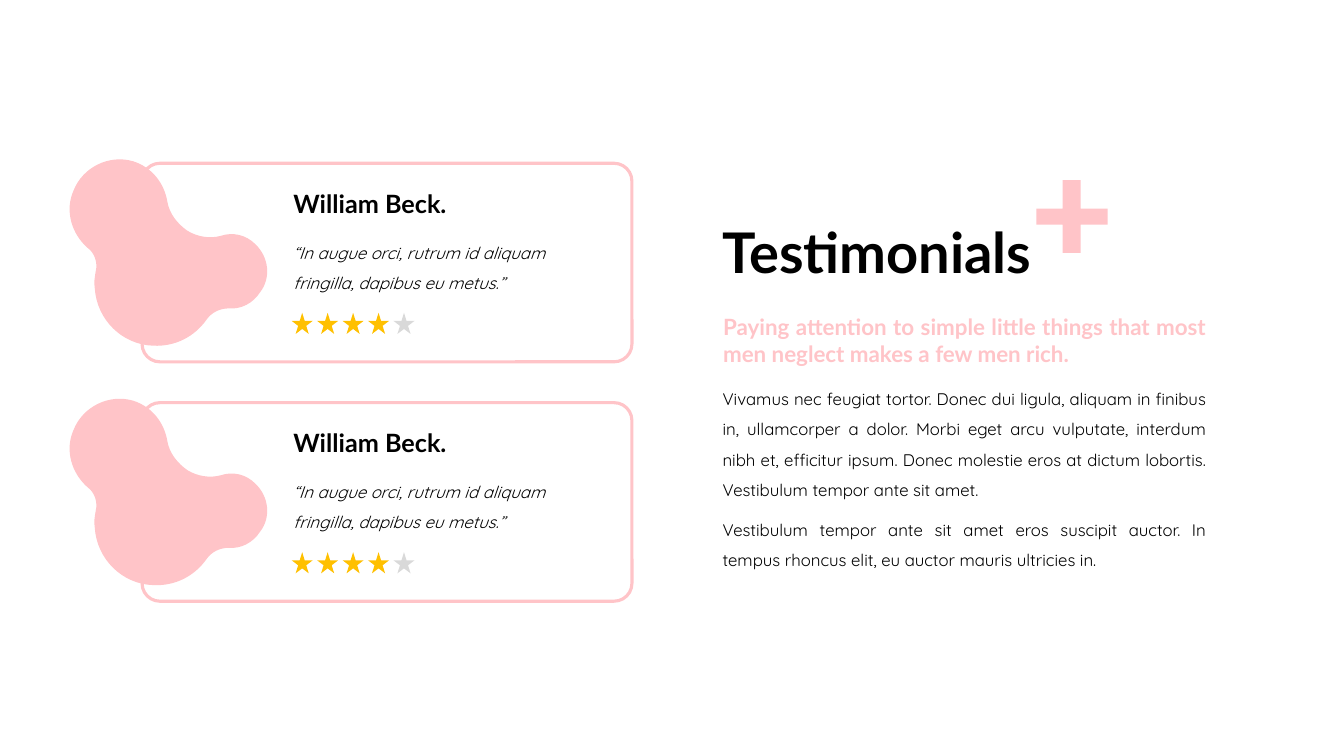
from pptx import Presentation
from pptx.dml.color import RGBColor
from pptx.enum.shapes import MSO_SHAPE
from pptx.enum.text import MSO_ANCHOR, MSO_AUTO_SIZE, PP_ALIGN
from pptx.oxml.ns import qn
from pptx.oxml.xmlchemy import OxmlElement
from pptx.util import Inches, Pt

COLUMNS, ROWS = 160, 90
PINK, GOLD, GREY, BLACK, WHITE = "FFC4C8", "FFC000", "D9D9D9", "000000", "FFFFFF"

CARD_LEFT, CARD_TOP, CARD_PITCH = 16.92, 19.44, 28.5
STAR_LEFT, STAR_TOP, STAR_PITCH, STAR_SIZE = 34.72, 17.8, 3.03, 2.52
REVIEWS = [("William Beck.",
            "“In augue orci, rutrum id aliquam fringilla, dapibus eu metus.”", 4)] * 2
PARAGRAPHS = [
    (44.5, 15.72,
     "Vivamus nec feugiat tortor. Donec dui ligula, aliquam in finibus in, ullamcorper a dolor. "
     "Morbi eget arcu vulputate, interdum nibh et, efficitur ipsum. Donec molestie eros at dictum "
     "lobortis. Vestibulum tempor ante sit amet."),
    (60.1, 8.52,
     "Vestibulum tempor ante sit amet eros suscipit auctor. In tempus rhoncus elit, eu auctor "
     "mauris ultricies in."),
]
BLOB_START = (27.24, 17.28)
BLOB_CURVES = [
    ((28.68, 17.4), (30.12, 16.68), (30.96, 15.36)),
    ((32.28, 13.68), (32.04, 11.16), (30.36, 9.6)),
    ((29.28, 8.52), (27.72, 8.16), (26.28, 8.64)),
    ((24.96, 9), (23.52, 8.76), (22.32, 8.04)),
    ((21.12, 7.2), (20.16, 6), (19.92, 4.56)),
    ((19.56, 2.4), (18.12, 0.48), (15.84, -0.24)),
    ((12.96, -1.08), (9.84, 0.48), (8.76, 3.24)),
    ((7.68, 5.64), (8.52, 8.4), (10.44, 10.08)),
    ((11.28, 10.68), (11.64, 11.88), (11.4, 12.84)),
    ((11.28, 13.56), (11.16, 14.16), (11.28, 14.88)),
    ((11.52, 18.6), (14.52, 21.6), (18.24, 21.72)),
    ((20.88, 21.84), (23.16, 20.64), (24.6, 18.6)),
    ((25.2, 17.76), (26.16, 17.28), BLOB_START),
]


def grid(*units):
    """Turn grid units, twelve to the inch, into lengths."""
    return [Inches(unit / 12) for unit in units]


def color(code):
    """Turn a hex string into a colour."""
    return RGBColor.from_string(code)


def paint(shape, fill, line=None):
    """Give a shape a flat fill and an optional outline."""
    shape.shadow.inherit = False
    shape.fill.solid()
    shape.fill.fore_color.rgb = color(fill)
    if line:
        shape.line.color.rgb = color(line)
        shape.line.width = Pt(2.25)
    else:
        shape.line.fill.background()


def add_preset(shapes, kind, place, fill, line=None):
    """Add a painted preset shape."""
    shape = shapes.add_shape(kind, *grid(*place))
    paint(shape, fill, line)
    return shape


def add_outline(page, points):
    """Add a pink closed outline through the given grid points."""
    corners = [grid(*point) for point in points]
    builder = page.shapes.build_freeform(*corners[0], scale=1.0)
    builder.add_line_segments(corners[1:], close=True)
    shape = builder.convert_to_shape()
    paint(shape, PINK)
    return shape


def bend(shape):
    """Join each three line segments of an outline into one Bézier curve."""
    segments = list(shape.element.iter(qn("a:lnTo")))
    for first in range(0, len(segments), 3):
        curve = OxmlElement("a:cubicBezTo")
        segments[first].addprevious(curve)
        for segment in segments[first:first + 3]:
            curve.append(segment[0])
            segment.getparent().remove(segment)


def format_para(para, face, size, ink=BLACK, bold=False, italic=False,
                align=PP_ALIGN.LEFT, spacing=1.0):
    """Format a whole paragraph."""
    para.alignment = align
    para.line_spacing = spacing
    font = para.font
    font.name, font.size, font.bold, font.italic = face, Pt(size), bold, italic
    font.color.rgb = color(ink)


def add_label(page, place, text, anchor=MSO_ANCHOR.MIDDLE, **style):
    """Add a text box holding one paragraph."""
    frame = page.shapes.add_textbox(*grid(*place)).text_frame
    frame.word_wrap = True
    frame.auto_size = MSO_AUTO_SIZE.SHAPE_TO_FIT_TEXT
    frame.vertical_anchor = anchor
    frame.text = text
    format_para(frame.paragraphs[0], **style)


def set_title(page, place, text):
    """Move, fill and format the title placeholder."""
    title = page.shapes.title
    title.left, title.top, title.width, title.height = grid(*place)
    frame = title.text_frame
    frame.text = text
    frame.auto_size = MSO_AUTO_SIZE.NONE
    frame.vertical_anchor = MSO_ANCHOR.MIDDLE
    format_para(frame.paragraphs[0], face="Lato", size=40, bold=True, spacing=0.9)


def add_blob(page, top):
    """Add the curved blob of the card at the given top."""
    points = [BLOB_START] + [point for curve in BLOB_CURVES for point in curve]
    bend(add_outline(page, [(x, y + top) for x, y in points]))


def add_rating(page, top, score):
    """Add a grouped row of five stars."""
    group = page.shapes.add_group_shape()
    for index in range(5):
        place = (STAR_LEFT + index * STAR_PITCH, top, STAR_SIZE, STAR_SIZE)
        add_preset(group.shapes, MSO_SHAPE.STAR_5_POINT, place, GOLD if index < score else GREY)


def add_card(page, top, name, quote, score):
    """Add one testimonial card."""
    card = add_preset(page.shapes, MSO_SHAPE.ROUNDED_RECTANGLE,
                      (CARD_LEFT, top, 58.32, 23.64), WHITE, PINK)
    card.adjustments[0] = 0.09
    add_blob(page, top)
    add_label(page, (33.72, top + 7.8, 39.84, 8.04), quote,
              face="Quicksand", size=12, italic=True, spacing=1.5)
    add_label(page, (33.74, top + 2.36, 31.44, 4.8), name, face="Lato", size=18, bold=True)
    add_rating(page, top + STAR_TOP, score)


def add_plus(page):
    """Add the plus sign beside the title."""
    x1, x2, x3, x4 = 123.38, 126.52, 128.66, 131.88
    y1, y2, y3, y4 = 21.44, 24.84, 26.76, 30.12
    add_outline(page, [(x2, y1), (x3, y1), (x3, y2), (x4, y2), (x4, y3), (x3, y3),
                       (x3, y4), (x2, y4), (x2, y3), (x1, y3), (x1, y2), (x2, y2)])


def main():
    """Build the testimonials slide."""
    deck = Presentation()
    deck.slide_width, deck.slide_height = grid(COLUMNS, ROWS)
    page = deck.slides.add_slide(deck.slide_layouts[5])
    add_plus(page)
    set_title(page, (84.8, 21.72, 60.96, 17.4), "Testimonials")
    add_label(page, (84.9, 36.72, 59.88, 7.68),
              "Paying attention to simple little things that most men neglect makes a few men rich.",
              MSO_ANCHOR.TOP, face="Lato", size=16, ink=PINK, bold=True, align=PP_ALIGN.JUSTIFY)
    for top, height, text in PARAGRAPHS:
        add_label(page, (84.84, top, 60, height), text, MSO_ANCHOR.TOP,
                  face="Quicksand", size=12, align=PP_ALIGN.JUSTIFY, spacing=1.5)
    for index, review in enumerate(REVIEWS):
        add_card(page, CARD_TOP + index * CARD_PITCH, *review)
    deck.save("out.pptx")


if __name__ == "__main__":
    main()
